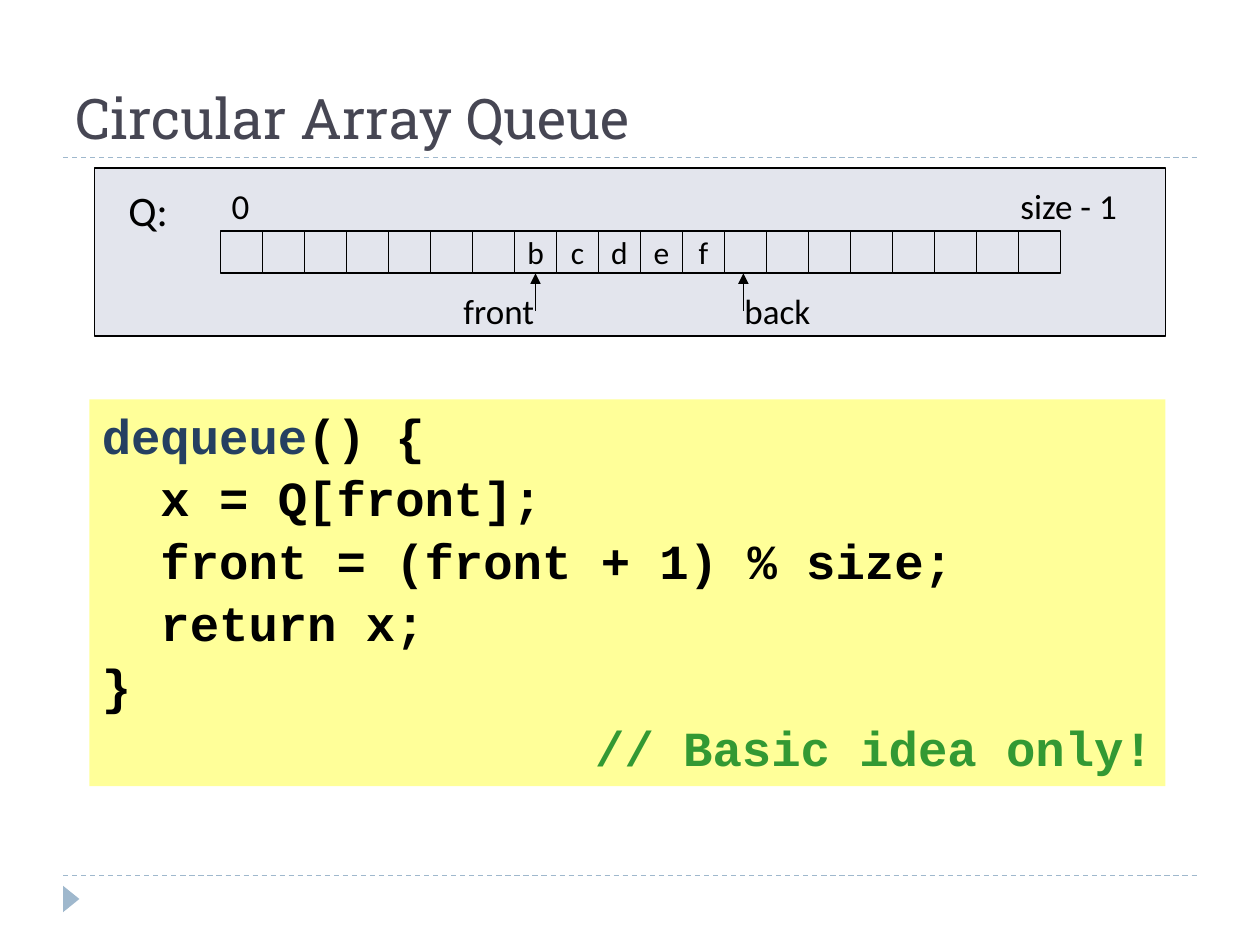
import pptx
import pptx.dml.color
import pptx.enum.dml
import pptx.enum.shapes
import pptx.enum.text
import pptx.oxml
import pptx.oxml.ns
import pptx.util
from pptx.util import Inches

SHAPES = pptx.enum.shapes.MSO_SHAPE
ALIGN = pptx.enum.text.PP_ALIGN
ANCHOR = pptx.enum.text.MSO_ANCHOR
BLACK = "000000"
ACCENT = "9FB8CD"


def color(value):
    return pptx.dml.color.RGBColor.from_string(value)


class SlideBuilder:
    body_font = "Calibri"
    code_font = "Courier New"
    title_font = "Roboto Slab"
    line_width = pptx.util.Pt(0.75)

    def __init__(self, page):
        self.page = page

    def style(self, font, name, size, fill, bold=False):
        font.name = name
        font.size = pptx.util.Pt(size)
        font.bold = bold
        font.color.rgb = color(fill)

    def title(self, text, left, top, width, height):
        box = self.page.shapes.title
        box.left, box.top = Inches(left), Inches(top)
        box.width, box.height = Inches(width), Inches(height)
        frame = box.text_frame
        frame.text = text
        frame.vertical_anchor = ANCHOR.BOTTOM
        para = frame.paragraphs[0]
        para.alignment = ALIGN.LEFT
        self.style(para.font, self.title_font, 32, "464653")

    def shape(self, kind, left, top, width, height, fill=None, outline=None):
        box = self.page.shapes.add_shape(
            kind, Inches(left), Inches(top), Inches(width), Inches(height))
        box.shadow.inherit = False
        if fill:
            box.fill.solid()
            box.fill.fore_color.rgb = color(fill)
        else:
            box.fill.background()
        if outline:
            box.line.color.rgb = color(outline)
            box.line.width = self.line_width
        else:
            box.line.fill.background()
        return box

    def cell(self, left, top, side, text):
        box = self.shape(SHAPES.RECTANGLE, left, top, side, side, outline=BLACK)
        if text:
            frame = box.text_frame
            frame.text = text
            frame.word_wrap = False
            frame.vertical_anchor = ANCHOR.MIDDLE
            para = frame.paragraphs[0]
            para.alignment = ALIGN.CENTER
            self.style(para.font, self.body_font, 18, BLACK)

    def label(self, text, left, top, width, height, size=20):
        box = self.page.shapes.add_textbox(
            Inches(left), Inches(top), Inches(width), Inches(height))
        frame = box.text_frame
        frame.text = text
        frame.word_wrap = False
        self.style(frame.paragraphs[0].font, self.body_font, size, BLACK)

    def line(self, start, end, stroke, dashed=False, arrow=False):
        connector = self.page.shapes.add_connector(
            pptx.enum.shapes.MSO_CONNECTOR.STRAIGHT,
            *map(Inches, start + end))
        connector.line.color.rgb = color(stroke)
        connector.line.width = self.line_width
        if dashed:
            connector.line.dash_style = pptx.enum.dml.MSO_LINE.DASH
        if arrow:
            tail = pptx.oxml.parse_xml(
                f'<a:tailEnd {pptx.oxml.ns.nsdecls("a")} type="triangle"/>')
            connector.line._get_or_add_ln().append(tail)
        connector._element.spPr.append(pptx.oxml.parse_xml(
            f'<a:effectLst {pptx.oxml.ns.nsdecls("a")}/>'))

    def code(self, lines, left, top, width, height):
        box = self.shape(SHAPES.RECTANGLE, left, top, width, height, fill="FFFF99")
        frame = box.text_frame
        frame.word_wrap = True
        frame.vertical_anchor = ANCHOR.TOP
        for index, (spans, alignment) in enumerate(lines):
            para = frame.add_paragraph() if index else frame.paragraphs[0]
            para.alignment = alignment
            para.space_before = pptx.util.Pt(2 if index else 0)
            self.style(para.font, self.code_font, 28, BLACK, bold=True)
            for text, fill in spans:
                span = para.add_run()
                span.text = text
                span.font.color.rgb = color(fill)


def main():
    deck = pptx.Presentation()
    deck.slide_width, deck.slide_height = Inches(10), Inches(7.5)
    page = deck.slides.add_slide(deck.slide_layouts[5])
    builder = SlideBuilder(page)

    for y in (6.95, 1.25):
        builder.line((0.5, y), (9.5, y), ACCENT, dashed=True)
    marker = builder.shape(SHAPES.ISOSCELES_TRIANGLE, 0.46, 7.07, 0.21, 0.13, ACCENT)
    marker.rotation = 90
    builder.title("Circular Array Queue", 0.5, 0.17, 9, 1.08)

    side = 1 / 3
    panel_top = 4 * side
    builder.shape(SHAPES.RECTANGLE, 0.75, panel_top, 8.5, 4 * side, "E3E5ED", BLACK)
    queue = dict(enumerate("bcdef", start=7))
    for index in range(20):
        builder.cell(1.75 + index * side, panel_top + 0.5, side, queue.get(index))

    label_top = panel_top + side / 4
    builder.label("Q:", 0.92, label_top, 0.58, 0.5, size=24)
    builder.label("0", 1.74, label_top, 0.36, 0.44)
    builder.label("size - 1", 8, label_top, 1.13, 0.44)
    for x in (4.25, 5.9):
        builder.line((x, 2.47), (x, 2.17), BLACK, arrow=True)
    builder.label("front", 3.58, 2.25, 0.76, 0.44)
    builder.label("back", 5.81, 2.25, 0.79, 0.44)

    builder.code([
        ([("dequeue", "254061"), ("() {", BLACK)], ALIGN.LEFT),
        ([("  x = Q[front];", BLACK)], ALIGN.LEFT),
        ([("  front = (front + 1) % size;", BLACK)], ALIGN.LEFT),
        ([("  return x;", BLACK)], ALIGN.LEFT),
        ([("}", BLACK)], ALIGN.LEFT),
        ([("// Basic idea only!", "339933")], ALIGN.RIGHT),
    ], 0.71, 3.17, 8.54, 3.07)

    deck.save("out.pptx")


if __name__ == "__main__":
    main()
